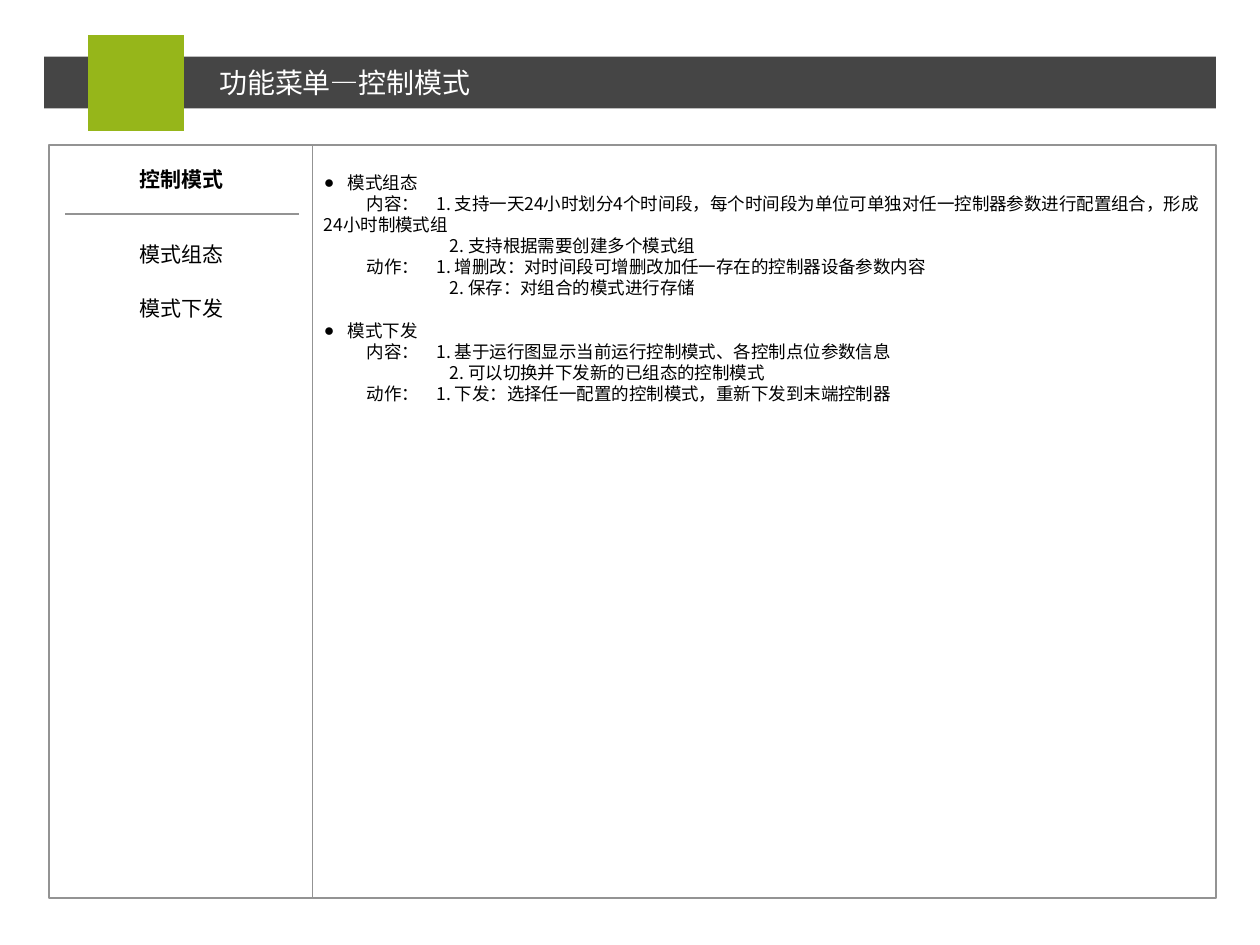
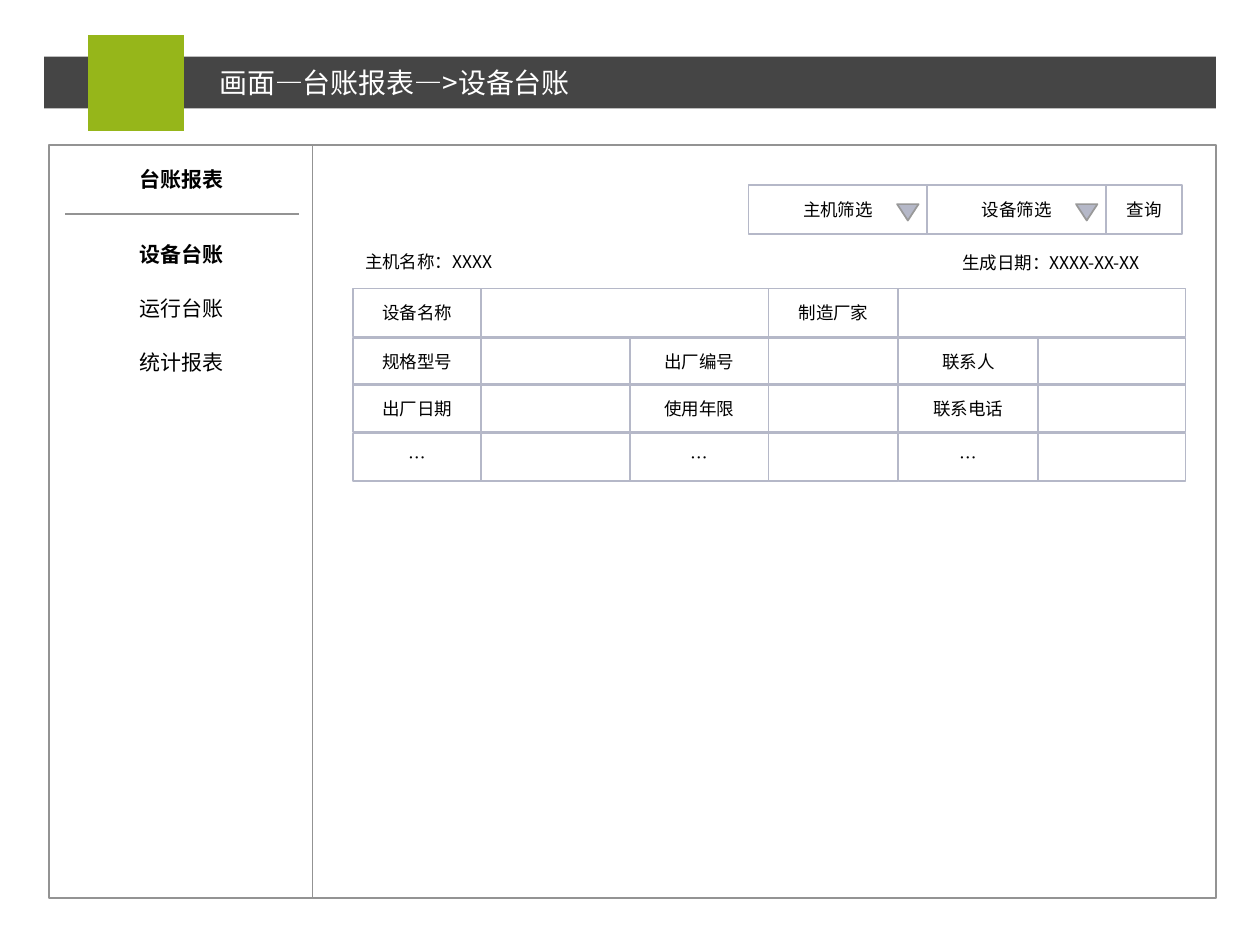
from dataclasses import dataclass

from lxml.etree import SubElement
from pptx import Presentation
from pptx.dml.color import RGBColor
from pptx.enum.shapes import MSO_CONNECTOR, MSO_SHAPE
from pptx.enum.text import MSO_ANCHOR, MSO_AUTO_SIZE, PP_ALIGN
from pptx.oxml.ns import qn
from pptx.util import Inches, Pt

# Content
MODE_PAGE = {
    "title": "功能菜单—控制模式",
    "menu": "控制模式",
    "items": ["模式组态", "模式下发"],
    "current": None,
}
MODE_SECTIONS = [
    ("模式组态", [
        ("内容：", [
            "支持一天24小时划分4个时间段，每个时间段为单位可单独对任一控制器参数进行配置组合，形成24小时制模式组",
            "支持根据需要创建多个模式组",
        ]),
        ("动作：", [
            "增删改：对时间段可增删改加任一存在的控制器设备参数内容",
            "保存：对组合的模式进行存储",
        ]),
    ]),
    ("模式下发", [
        ("内容：", [
            "基于运行图显示当前运行控制模式、各控制点位参数信息",
            "可以切换并下发新的已组态的控制模式",
        ]),
        ("动作：", ["下发：选择任一配置的控制模式，重新下发到末端控制器"]),
    ]),
]

LEDGER_PAGE = {
    "title": "画面—台账报表—>设备台账",
    "menu": "台账报表",
    "items": ["设备台账", "运行台账", "统计报表"],
    "current": "设备台账",
}
FILTERS = ["主机筛选", "设备筛选"]
QUERY = "查询"
CAPTIONS = [("主机名称：XXXX", 2.8, 1.93), ("生成日期：XXXX-XX-XX", 7.54, 1.94)]
# Form fields by row: label, columns taken by the empty field after it
LEDGER_ROWS = [
    (2.29, [("设备名称", 2), ("制造厂家", 2)]),
    (2.68, [("规格型号", 1), ("出厂编号", 1), ("联系人", 1)]),
    (3.05, [("出厂日期", 1), ("使用年限", 1), ("联系电话", 1)]),
    (3.44, [("…", 1), ("…", 1), ("…", 1)]),
]
LEDGER_EDGES = [2.8, 3.82, 5, 6.1, 7.13, 8.24, 9.41]


@dataclass(frozen=True)
class Theme:
    font: str = "Noto Sans CJK SC"
    white: str = "FFFFFF"
    black: str = "000000"
    band: str = "454545"
    accent: str = "96B61A"
    frame: str = "939393"
    grid: str = "B5B8C8"
    arrow_edge: str = "999999"
    title_size: int = 16
    menu_size: int = 12
    body_size: int = 10
    line_pitch: float = 12.1


THEME = Theme()

# Layout, in inches
SIDEBAR = (0.39, 1.15, 2.09, 5.98)
MAIN_PANEL = (2.48, 1.15, 7.17, 5.98)
MENU_LEFT, MENU_WIDTH, MENU_HEIGHT = 0.52, 1.84, 0.39
MENU_TOP, ITEMS_TOP, ITEM_STEP = 1.23, 1.82, 0.43
FILTER_LEFT, FILTER_TOP, FILTER_WIDTH, FILTER_HEIGHT = 5.94, 1.47, 1.42, 0.39
QUERY_WIDTH = 0.6
ROW_HEIGHT = 0.38


def inches(*lengths):
    return [Inches(length) for length in lengths]


def color(code):
    return RGBColor.from_string(code)


# Text and shape helpers
def style(para, size, ink=THEME.black, bold=False, align=PP_ALIGN.LEFT):
    para.alignment = align
    font = para.font
    font.size, font.bold, font.name = Pt(size), bold, THEME.font
    font.color.rgb = color(ink)
    SubElement(para._p.pPr.get_or_add_defRPr(), qn("a:ea"), typeface=THEME.font)


def place(shape, at):
    shape.left, shape.top, shape.width, shape.height = inches(*at)


def outline(shape, line):
    shape.line.color.rgb = color(line)
    shape.line.width = Pt(1)


def add_box(page, at, fill=None, line=None, kind=MSO_SHAPE.RECTANGLE):
    box = page.shapes.add_shape(kind, *inches(*at))
    box.shadow.inherit = False
    if fill:
        box.fill.solid()
        box.fill.fore_color.rgb = color(fill)
    else:
        box.fill.background()
    if line:
        outline(box, line)
    else:
        box.line.fill.background()
    return box


def add_label(page, at, text, size, bold=False, fill=None, line=None):
    frame = add_box(page, at, fill, line).text_frame
    frame.vertical_anchor = MSO_ANCHOR.MIDDLE
    frame.text = text
    style(frame.paragraphs[0], size, bold=bold, align=PP_ALIGN.CENTER)


# Shared page: header band, title, sidebar menu
def add_page(deck, layout_index, content):
    page = deck.slides.add_slide(deck.slide_layouts[layout_index])
    add_box(page, (0.35, 0.45, 9.3, 0.41), THEME.band)
    add_box(page, (0.7, 0.28, 0.76, 0.76), THEME.accent)

    title = page.shapes.title
    page.shapes._spTree.append(title._element)  # bring in front of the band
    place(title, (1.64, 0.51, 6.88, 0.29))
    frame = title.text_frame
    frame.text = content["title"]
    frame.auto_size = MSO_AUTO_SIZE.NONE
    frame.vertical_anchor = MSO_ANCHOR.MIDDLE
    style(frame.paragraphs[0], THEME.title_size, THEME.white)

    add_box(page, SIDEBAR, line=THEME.frame)
    menu = [(content["menu"], MENU_TOP, True)]
    for index, item in enumerate(content["items"]):
        menu.append((item, ITEMS_TOP + index * ITEM_STEP, item == content["current"]))
    for text, top, bold in menu:
        add_label(page, (MENU_LEFT, top, MENU_WIDTH, MENU_HEIGHT), text,
                  THEME.menu_size, bold, fill=THEME.white)

    divider = page.shapes.add_connector(
        MSO_CONNECTOR.STRAIGHT, *inches(MENU_LEFT, 1.7, 2.37, 1.7))
    outline(divider, THEME.frame)
    SubElement(divider._element.spPr, qn("a:effectLst"))
    return page


# Control mode: outline of functions
def add_line(frame, text, margin, indent, bullet=None, gap=0):
    first = frame.paragraphs[0]
    para = frame.add_paragraph() if first.text else first
    para.text = text
    para.line_spacing = Pt(THEME.line_pitch)
    para.space_before, para.space_after = Pt(gap), Pt(0)
    properties = para._p.get_or_add_pPr()
    properties.set("marL", str(Inches(margin)))
    properties.set("indent", str(Inches(indent)))
    if bullet:
        SubElement(properties, qn("a:buChar"), char=bullet)
    else:
        SubElement(properties, qn("a:buNone"))
    style(para, THEME.body_size)


def build_mode_page(deck):
    page = add_page(deck, 1, MODE_PAGE)
    body = page.placeholders[1]
    place(body, MAIN_PANEL)
    outline(body, THEME.frame)
    frame = body.text_frame
    frame.auto_size = MSO_AUTO_SIZE.NONE
    frame.vertical_anchor = MSO_ANCHOR.TOP
    frame.margin_left, frame.margin_top, frame.margin_right = inches(0.09, 0.21, 0.05)

    for index, (heading, groups) in enumerate(MODE_SECTIONS):
        add_line(frame, heading, 0.19, -0.19, bullet="●",
                 gap=THEME.line_pitch if index else 0)
        for label, points in groups:
            for number, point in enumerate(points, 1):
                if number == 1:
                    add_line(frame, f"{label}　{number}. {point}", 0, 0.34)
                else:
                    add_line(frame, f"{number}. {point}", 1, 0)


# Device ledger: filters, captions, form grid
def add_filters(page):
    for index, text in enumerate(FILTERS):
        left = FILTER_LEFT + index * FILTER_WIDTH
        add_label(page, (left, FILTER_TOP, FILTER_WIDTH, FILTER_HEIGHT), text,
                  THEME.body_size, line=THEME.grid)
        arrow = add_box(page, (left + 1.18, 1.62, 0.17, 0.13), THEME.grid,
                        THEME.arrow_edge, MSO_SHAPE.ISOSCELES_TRIANGLE)
        arrow.rotation = 180
    left = FILTER_LEFT + len(FILTERS) * FILTER_WIDTH
    add_label(page, (left, FILTER_TOP, QUERY_WIDTH, FILTER_HEIGHT), QUERY,
              THEME.body_size, line=THEME.grid)


def add_captions(page):
    for text, left, top in CAPTIONS:
        frame = page.shapes.add_textbox(*inches(left, top, 1.87, 0.29)).text_frame
        frame.word_wrap = True
        frame.vertical_anchor = MSO_ANCHOR.MIDDLE
        frame.text = text
        style(frame.paragraphs[0], THEME.body_size)


def add_ledger(page):
    for top, fields in LEDGER_ROWS:
        column = 0
        for label, span in fields:
            left, middle, right = (
                LEDGER_EDGES[edge] for edge in (column, column + 1, column + 1 + span))
            add_label(page, (left, top, middle - left, ROW_HEIGHT), label,
                      THEME.body_size, line=THEME.grid)
            add_box(page, (middle, top, right - middle, ROW_HEIGHT), line=THEME.grid)
            column += 1 + span


def build_ledger_page(deck):
    page = add_page(deck, 5, LEDGER_PAGE)
    add_box(page, MAIN_PANEL, line=THEME.frame)
    add_filters(page)
    add_captions(page)
    add_ledger(page)


def main():
    deck = Presentation()
    deck.slide_width, deck.slide_height = inches(10, 7.5)
    build_mode_page(deck)
    build_ledger_page(deck)
    deck.save("out.pptx")


if __name__ == "__main__":
    main()
